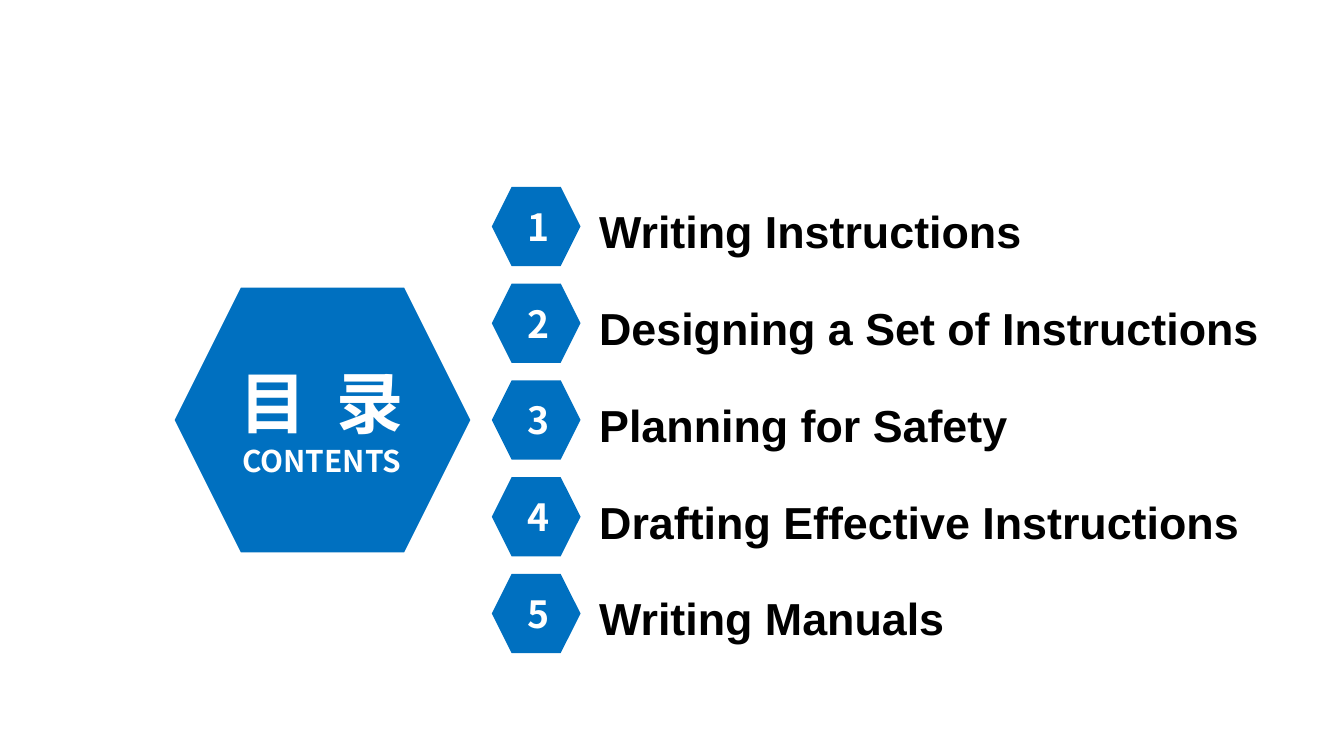
from dataclasses import dataclass

import lxml.etree
import pptx
import pptx.dml.color
import pptx.enum.shapes
import pptx.enum.text
import pptx.oxml.ns
import pptx.util

COLORS = {"blue": "0070C0", "white": "FFFFFF", "black": "000000"}
CJK_FONT = "Noto Sans CJK SC"
LABEL_FONT = "Arial"
CELL = 0.1  # inches; the slide is a grid of 100 columns
FIRST_ROW, ROW_PITCH, TEXT_DROP = 13.9, 7.2, 0.8
SHAPE = pptx.enum.shapes.MSO_SHAPE
ALIGN = pptx.enum.text.PP_ALIGN


@dataclass(frozen=True)
class Area:
    column: float
    row: float
    columns: float
    rows: float

    def lengths(self) -> list:
        cells = (self.column, self.row, self.columns, self.rows)
        return [pptx.util.Inches(cell * CELL) for cell in cells]


@dataclass(frozen=True)
class Chapter:
    label: str
    columns: float


CHAPTERS = [
    Chapter("Writing Instructions", 37.1),
    Chapter("Designing a Set of Instructions", 51.3),
    Chapter("Planning for Safety", 52.1),
    Chapter("Drafting Effective Instructions", 52.9),
    Chapter("Writing Manuals", 30.8),
]


def rgb(name: str) -> pptx.dml.color.RGBColor:
    return pptx.dml.color.RGBColor.from_string(COLORS[name])


def add_blue_shape(page, kind, area: Area):
    shape = page.shapes.add_shape(kind, *area.lengths())
    shape.shadow.inherit = False
    shape.fill.solid()
    shape.fill.fore_color.rgb = rgb("blue")
    shape.line.fill.background()
    return shape


def style(para, face: str, size: float, color: str, align) -> None:
    para.alignment = align
    font = para.font
    font.name, font.size, font.bold = face, pptx.util.Pt(size), True
    font.color.rgb = rgb(color)
    # Chinese glyphs take the East Asian face
    east = lxml.etree.SubElement(font._element, pptx.oxml.ns.qn("a:ea"))
    east.set("typeface", face)


def prepare_frame(shape):
    frame = shape.text_frame
    frame.word_wrap = True
    frame.auto_size = pptx.enum.text.MSO_AUTO_SIZE.NONE
    frame.vertical_anchor = pptx.enum.text.MSO_ANCHOR.TOP
    return frame


def add_heading(page) -> None:
    add_blue_shape(page, SHAPE.HEXAGON, Area(13, 21.4, 22, 19.7))
    title = page.shapes.title
    title.left, title.top, title.width, title.height = Area(15.3, 26.4, 17.3, 9.8).lengths()
    page.shapes._spTree.append(title._element)  # in front of the hexagon
    frame = prepare_frame(title)
    chinese, english = frame.paragraphs[0], frame.add_paragraph()
    for text in "目 录":
        span = chinese.add_run()
        span.text = text
        if text == " ":
            span.font._element.set("spc", "800")  # widens the gap by 8 pt
    english.text = "CONTENTS"
    style(chinese, CJK_FONT, 36, "white", ALIGN.CENTER)
    style(english, CJK_FONT, 16, "white", ALIGN.CENTER)


def add_chapter(page, index: int, chapter: Chapter) -> None:
    row = FIRST_ROW + index * ROW_PITCH
    text_row = row + TEXT_DROP
    add_blue_shape(page, SHAPE.HEXAGON, Area(36.6, row, 6.6, 5.9))

    badge = add_blue_shape(page, SHAPE.RECTANGLE, Area(38.3, text_row, 3.1, 4.4))
    number = prepare_frame(badge).paragraphs[0]
    number.text = str(index + 1)
    style(number, CJK_FONT, 20, "white", ALIGN.CENTER)

    box = page.shapes.add_textbox(*Area(43.6, text_row, chapter.columns, 5).lengths())
    label = prepare_frame(box).paragraphs[0]
    label.text = chapter.label
    style(label, LABEL_FONT, 24, "black", ALIGN.LEFT)


def main() -> None:
    deck = pptx.Presentation()
    deck.slide_width = pptx.util.Inches(10)
    deck.slide_height = deck.slide_width * 9 // 16
    page = deck.slides.add_slide(deck.slide_layouts.get_by_name("Title Only"))

    # Contents heading on the left
    add_heading(page)

    # Numbered chapters on the right
    for index, chapter in enumerate(CHAPTERS):
        add_chapter(page, index, chapter)

    deck.save("out.pptx")


if __name__ == "__main__":
    main()
